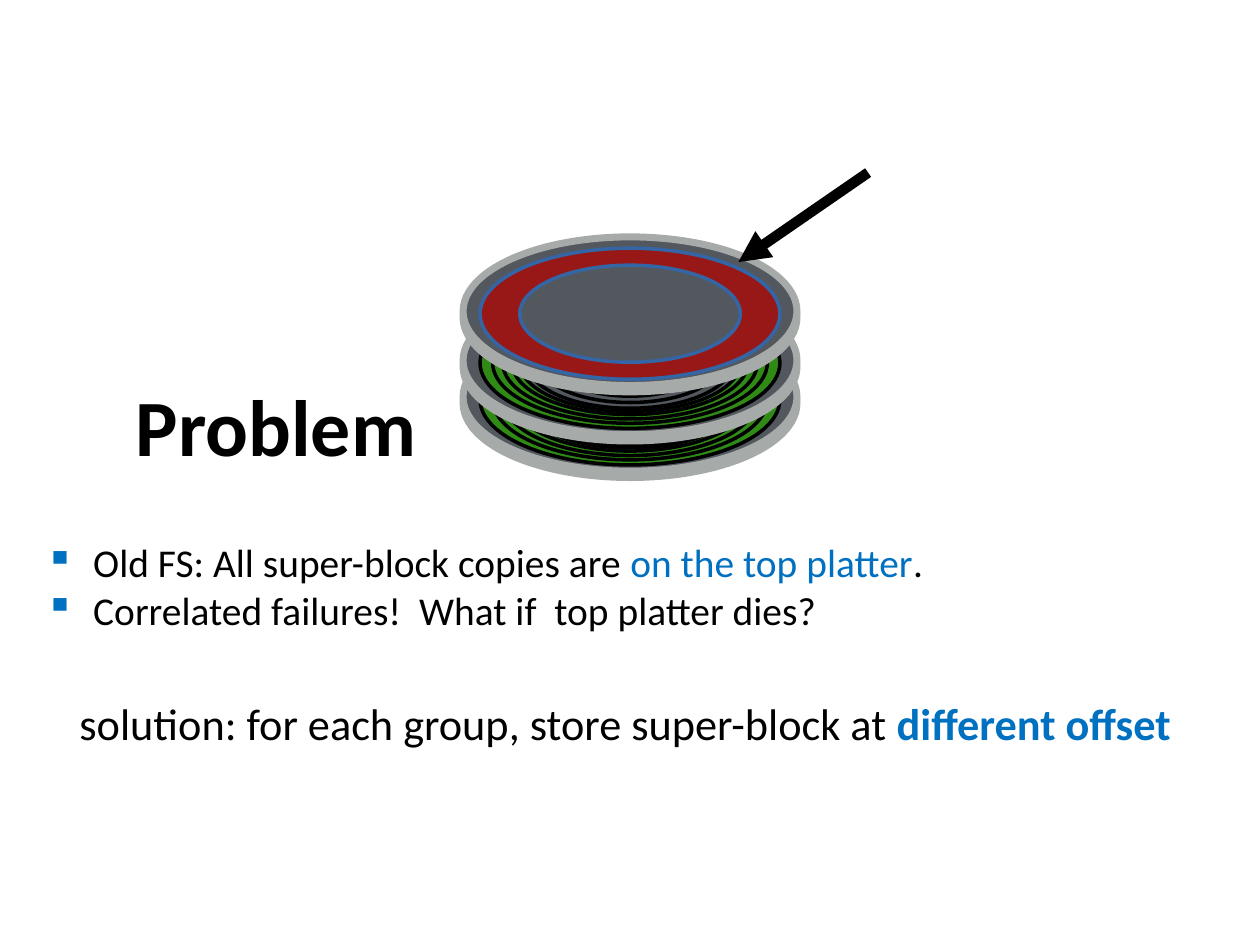
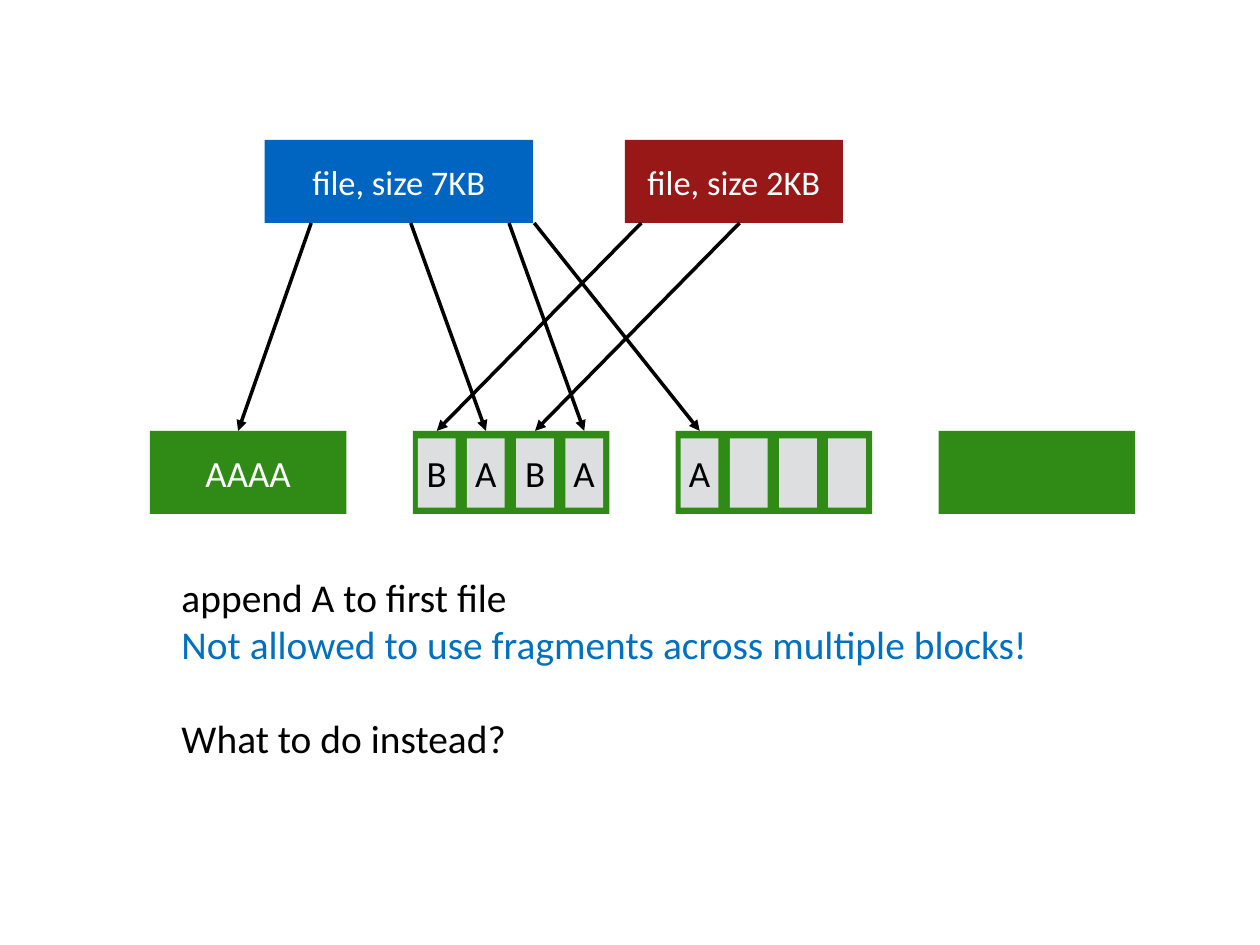
from lxml import etree
from pptx import Presentation
from pptx.dml.color import RGBColor
from pptx.enum import shapes, text
from pptx.oxml import ns
from pptx.util import Inches, Pt

FONT = "Calibri"
BLACK, WHITE, BLUE = "000000", "FFFFFF", "0070C0"
GREEN, RED, FILE_BLUE = "308B16", "971817", "0065C1"
STEEL, RIM, FRAGMENT, RED_EDGE = "53585F", "A6AAA8", "DCDEE0", "3465A4"


def rgb(value):
    """Turn a hex string into a colour."""
    return RGBColor.from_string(value)


def add_child(parent, tag, **attributes):
    """Append a DrawingML element."""
    return etree.SubElement(parent, ns.qn(tag), attributes)


def add_run(paragraph, words, size, color=BLACK, bold=False):
    """Add one styled run."""
    run = paragraph.add_run()
    run.text = words
    run.font.name, run.font.size, run.font.bold = FONT, Pt(size), bold
    run.font.color.rgb = rgb(color)


def set_frame(frame, inset_x, inset_y, anchor, wrap=True):
    """Set the insets, anchor and wrapping of a text frame."""
    frame.margin_left = frame.margin_right = Inches(inset_x)
    frame.margin_top = frame.margin_bottom = Inches(inset_y)
    frame.vertical_anchor, frame.word_wrap = anchor, wrap


def add_text(slide, box, lines, size, wrap=True, bulleted=False):
    """Add lines of (words, color, bold) runs in a middle-anchored text box."""
    frame = slide.shapes.add_textbox(*map(Inches, box)).text_frame
    set_frame(frame, 0.04, 0.04, text.MSO_ANCHOR.MIDDLE, wrap)
    for index, runs in enumerate(lines):
        paragraph = frame.paragraphs[0] if index == 0 else frame.add_paragraph()
        if bulleted:
            add_bullet(paragraph)
        for words, color, bold in runs:
            add_run(paragraph, words, size, color, bold)
    return frame


def add_bullet(paragraph):
    """Give a paragraph a blue square bullet with a hanging indent."""
    properties = paragraph._p.get_or_add_pPr()
    properties.set("marL", str(Inches(0.38)))
    properties.set("indent", str(-Inches(0.38)))
    add_child(add_child(properties, "a:buClr"), "a:srgbClr", val=BLUE)
    add_child(properties, "a:buChar", char="▪")


def add_figure(slide, kind, box, fill=None, line=None, width=2):
    """Add a flat preset shape."""
    figure = slide.shapes.add_shape(kind, *map(Inches, box))
    figure.shadow.inherit = False
    if fill:
        figure.fill.solid()
        figure.fill.fore_color.rgb = rgb(fill)
    else:
        figure.fill.background()
    if line:
        figure.line.color.rgb = rgb(line)
        figure.line.width = Pt(width)
    else:
        figure.line.fill.background()
    return figure


def add_arrow(slide, start, end, width=2):
    """Draw a black arrow from start to end."""
    arrow = slide.shapes.add_connector(
        shapes.MSO_CONNECTOR.STRAIGHT, *map(Inches, (*start, *end)))
    arrow.line.color.rgb = rgb(BLACK)
    arrow.line.width = Pt(width)
    add_child(arrow.line._get_or_add_ln(), "a:tailEnd", type="triangle")
    add_child(arrow._element.spPr, "a:effectLst")


def add_label_box(slide, box, fill, label="", size=21.1, color=BLACK):
    """Add a filled rectangle with an optional centred label."""
    rectangle = add_figure(slide, shapes.MSO_SHAPE.RECTANGLE, box, fill)
    if label:
        set_frame(rectangle.text_frame, 0, 0, text.MSO_ANCHOR.MIDDLE)
        paragraph = rectangle.text_frame.paragraphs[0]
        paragraph.alignment = text.PP_ALIGN.CENTER
        add_run(paragraph, label, size, color)


def add_oval(slide, center, size, fill=None, line=None, width=2):
    """Add an ellipse around a center."""
    (x, y), (w, h) = center, size
    add_figure(slide, shapes.MSO_SHAPE.OVAL, (x - w / 2, y - h / 2, w, h), fill, line, width)


def add_platter(slide, center, tracks):
    """Draw a disk platter with (size, fill, line) tracks, outermost first."""
    x, y = center
    for drop, fill in ((0.05, RIM), (0, STEEL)):
        add_oval(slide, (x, y + drop), (2.65, 1.18), fill, RIM, 4)
    for size, fill, line in tracks:
        add_oval(slide, (x, y + 0.02), size, fill, line)


def add_disk(slide, center_x):
    """Stack two green platters under the one that holds the super-blocks."""
    outer, inner = (2.38, 1.04), (1.75, 0.77)
    sizes = (outer, (2.18, 0.96), (2.02, 0.89), (1.87, 0.82), inner,
             (1.63, 0.72), (1.44, 0.63), (1.21, 0.53))
    fills = {outer: GREEN, inner: STEEL}
    green_tracks = [(size, fills.get(size), BLACK) for size in sizes]
    red_tracks = [(outer, RED, RED_EDGE), (inner, STEEL, RED_EDGE)]
    for y, tracks in ((3.15, green_tracks), (2.86, green_tracks), (2.47, red_tracks)):
        add_platter(slide, (center_x, y), tracks)


def add_title(slide, box, words):
    """Add a bold title on the bottom edge of its box."""
    frame = slide.shapes.add_textbox(*map(Inches, box)).text_frame
    set_frame(frame, 0.1, 0.05, text.MSO_ANCHOR.BOTTOM)
    add_run(frame.paragraphs[0], words, 45.6, bold=True)


def build_problem(slide):
    """Build the slide on super-block placement."""
    add_title(slide, (0.98, 1.26, 8.05, 2.54), "Problem")
    add_disk(slide, 5)
    add_text(slide, (0.32, 4.23, 8.86, 0.84), [
        [("Old FS: All super-block copies are ", BLACK, False),
         ("on the top platter", BLUE, False), (".", BLACK, False)],
        [("Correlated failures!  What if  top platter dies?", BLACK, False)],
    ], 22.5, bulleted=True)
    add_arrow(slide, (6.89, 1.37), (5.86, 2.08), 6)
    add_text(slide, (0.59, 5.49, 8.85, 0.5), [
        [("solution: for each group, store super-block at ", BLACK, False),
         ("different offset", BLUE, True)],
    ], 25.3, wrap=False)


def add_blocks(slide, box, contents):
    """Draw a row of blocks and return the center of each fragment by position."""
    left, top, width, height = box
    block_width, fragment_width = 1.56, 0.3
    step = (width - block_width) / (len(contents) - 1)
    centers = {}
    for block, content in enumerate(contents):
        x = left + block * step
        whole = content if isinstance(content, str) else ""
        add_label_box(slide, (x, top, block_width, height), GREEN, whole, color=WHITE)
        if whole or not content:
            continue
        for slot, letter in enumerate(content):
            fragment_x = x + 0.04 + slot * block_width / len(content)
            add_label_box(slide, (fragment_x, top + 0.06, fragment_width, 0.55), FRAGMENT, letter)
            centers[block, slot] = fragment_x + fragment_width / 2
    return centers


def add_file(slide, box, fill, label, links, block_top):
    """Draw a file and its arrows, given as (offset in file, target x)."""
    left, top, _, height = box
    add_label_box(slide, box, fill, label, 19.7, WHITE)
    for offset, target in links:
        add_arrow(slide, (left + offset, top + height), (target, block_top))


def build_fragments(slide):
    """Build the slide on files sharing block fragments."""
    block_top, file_top, height = 3.42, 1.11, 0.66
    fragment = add_blocks(slide, (1.19, block_top, 7.82, height),
                          ["AAAA", list("BABA"), ["A", "", "", ""], []])
    add_file(slide, (2.1, file_top, 2.13, height), FILE_BLUE, "file, size 7KB",
             [(0.37, 1.89), (1.16, fragment[1, 1]), (1.94, fragment[1, 3]),
              (2.14, fragment[2, 0])], block_top)
    add_file(slide, (4.96, file_top, 1.73, height), RED, "file, size 2KB",
             [(0.13, fragment[1, 0]), (0.91, fragment[1, 2])], block_top)
    notes = add_text(slide, (1.4, 4.5, 6.85, 1.59), [
        [("append A to first file", BLACK, False)],
        [("Not allowed to use fragments across multiple blocks!", BLUE, False)],
        [("What to do instead?", BLACK, False)],
    ], 22.5, wrap=False)
    notes.paragraphs[2].space_before = Pt(27)


def main():
    """Build and save the presentation."""
    deck = Presentation()
    deck.slide_width, deck.slide_height = Inches(10), Inches(7.5)
    for build in (build_problem, build_fragments):
        build(deck.slides.add_slide(deck.slide_layouts[6]))
    deck.save("out.pptx")


if __name__ == "__main__":
    main()
